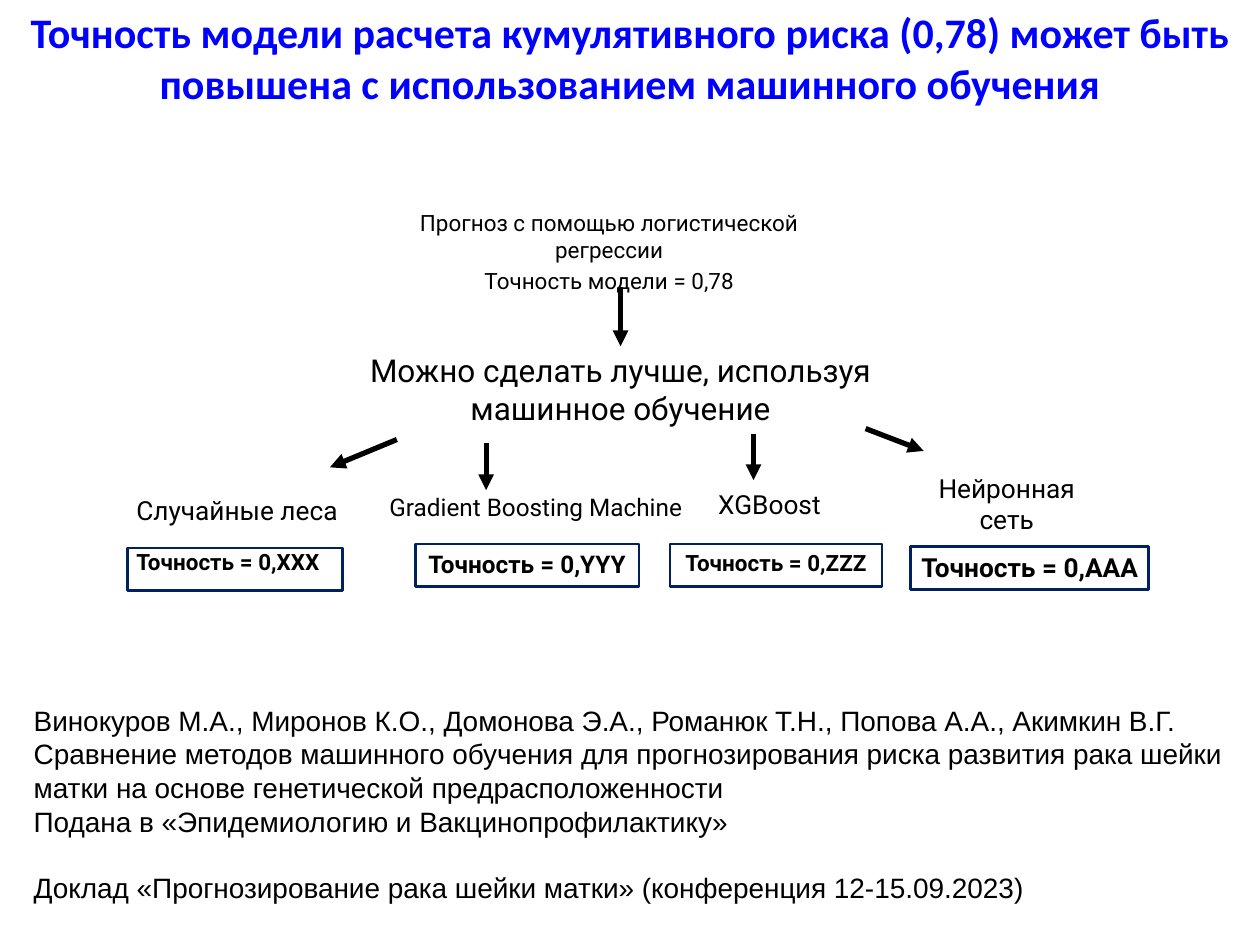
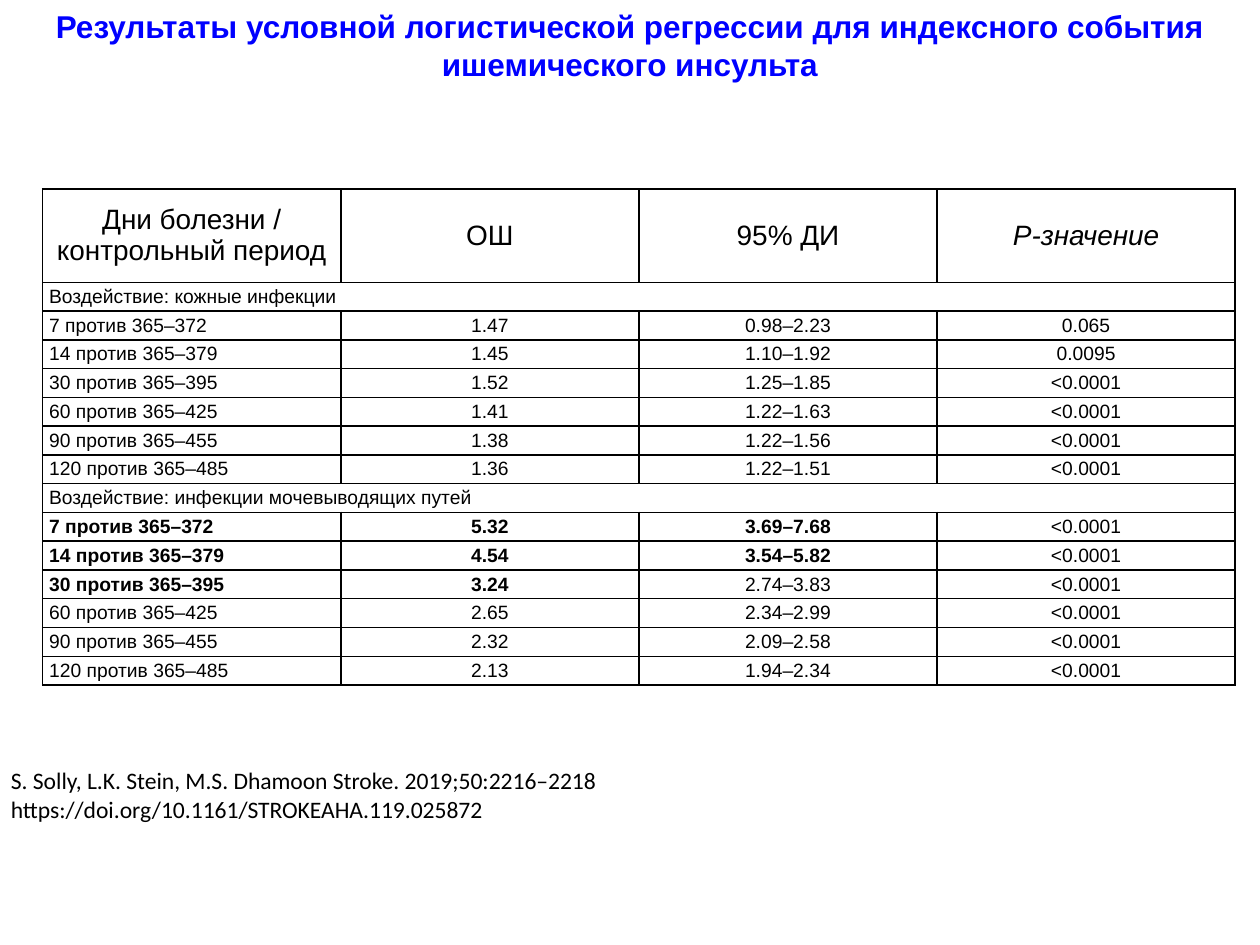
from dataclasses import dataclass, field
from typing import Any, NamedTuple

from lxml import etree
from pptx import Presentation
from pptx import util as u
from pptx.dml import color
from pptx.enum import shapes, text
from pptx.oxml import ns

BLACK, BLUE, NAVY = "000000", "0000FF", "002060"
LEFT, CENTER = text.PP_ALIGN.LEFT, text.PP_ALIGN.CENTER
TOP, MIDDLE = text.MSO_ANCHOR.TOP, text.MSO_ANCHOR.MIDDLE
WIDE = (0.25, 0.13)
NARROW = (0.18, 0.1)
PAGE_WIDTH, PAGE_HEIGHT = 25.4, 19.05


@dataclass
class Label:
    lines: list[str]
    left: float
    top: float
    width: float
    height: float
    size: float
    font: str = "Roboto"
    bold: bool = False
    hue: str = BLACK
    align: Any = CENTER
    anchor: Any = TOP
    insets: tuple[float, float] = NARROW
    border: str = ""
    spacing: dict[str, Any] = field(default_factory=dict)
    gaps: dict[int, float] = field(default_factory=dict)


class Arrow(NamedTuple):
    x1: float
    y1: float
    x2: float
    y2: float


class Row(NamedTuple):
    values: list[str]
    bold_count: int = 0


def rgb(value: str) -> color.RGBColor:
    return color.RGBColor.from_string(value)


def assign(target: Any, values: dict[str, Any]) -> None:
    for name, value in values.items():
        setattr(target, name, value)


def add_span(para: Any, words: str, hue: str = BLACK, **style: Any) -> None:
    span = para.add_run()
    span.text = words
    assign(span.font, style)
    span.font.color.rgb = rgb(hue)


def margins(insets: tuple[float, float]) -> dict[str, Any]:
    side, end = map(u.Cm, insets)
    return {"margin_left": side, "margin_right": side,
            "margin_top": end, "margin_bottom": end}


def draw_label(page: Any, label: Label) -> Any:
    bounds = [u.Cm(v) for v in (label.left, label.top, label.width, label.height)]
    if label.border:
        box = page.shapes.add_shape(shapes.MSO_SHAPE.RECTANGLE, *bounds)
        box.shadow.inherit = False
        box.fill.background()
        box.line.color.rgb = rgb(label.border)
        box.line.width = u.Pt(1.5)
    else:
        box = page.shapes.add_textbox(*bounds)
    frame = box.text_frame
    assign(frame, {"word_wrap": True, "vertical_anchor": label.anchor,
                   **margins(label.insets)})
    for index, line in enumerate(label.lines):
        para = frame.paragraphs[0] if index == 0 else frame.add_paragraph()
        assign(para, {"alignment": label.align, **label.spacing})
        if index in label.gaps:
            para.space_before = u.Pt(label.gaps[index])
        add_span(para, line, label.hue, name=label.font,
                 size=u.Pt(label.size), bold=label.bold)
    return box


def draw_title(page: Any, words: str, height: float, size: float, font: str) -> None:
    draw_label(page, Label([words], 0, 0, PAGE_WIDTH, height, size, font, True,
                           BLUE, anchor=MIDDLE, insets=WIDE))


def draw_arrow(page: Any, arrow: Arrow) -> Any:
    line = page.shapes.add_connector(shapes.MSO_CONNECTOR.STRAIGHT, *map(u.Cm, arrow))
    line.line.color.rgb = rgb(BLACK)
    line.line.width = u.Pt(3)
    etree.SubElement(line.line._get_or_add_ln(), ns.qn("a:tailEnd"), type="triangle")
    etree.SubElement(line._element.spPr, ns.qn("a:effectLst"))
    return line


def add_borders(cell: Any) -> None:
    properties = cell._tc.get_or_add_tcPr()
    for side in ("lnL", "lnR", "lnT", "lnB"):
        edge = etree.SubElement(properties, ns.qn(f"a:{side}"), w=str(u.Pt(1)))
        fill = etree.SubElement(edge, ns.qn("a:solidFill"))
        etree.SubElement(fill, ns.qn("a:srgbClr"), val=BLACK)


def fill_cell(cell: Any, lines: list[str], align: Any, **style: Any) -> None:
    frame = cell.text_frame
    for index, line in enumerate(lines):
        para = frame.paragraphs[0] if index == 0 else frame.add_paragraph()
        para.alignment = align
        add_span(para, line, name="Arial", **style)


def draw_table(page: Any, header: list[list[str]], rows: list[Row]) -> None:
    column_width, header_height, row_height = 6.01, 1.88, 0.58
    columns = len(header)
    grid = page.shapes.add_table(
        len(rows) + 1, columns, u.Cm(0.86), u.Cm(3.81), u.Cm(column_width * columns),
        u.Cm(header_height + row_height * len(rows))).table
    assign(grid, {"first_row": False, "horz_banding": False})
    for column in grid.columns:
        column.width = u.Cm(column_width)
    for index, band in enumerate(grid.rows):
        band.height = u.Cm(row_height if index else header_height)
    for cell in grid.iter_cells():
        assign(cell, {"vertical_anchor": MIDDLE, **margins((0.13, 0.06))})
        add_borders(cell)
        cell.fill.background()
    for index, lines in enumerate(header):
        fill_cell(grid.cell(0, index), lines, CENTER,
                  size=u.Pt(16), italic=index == columns - 1)
    for number, row in enumerate(rows, 1):
        if len(row.values) == 1:
            grid.cell(number, 0).merge(grid.cell(number, columns - 1))
        for index, value in enumerate(row.values):
            fill_cell(grid.cell(number, index), [value], CENTER if index else LEFT,
                      size=u.Pt(11), bold=index < row.bold_count)


IMPROVEMENT = Label(["Можно сделать лучше, используя машинное обучение"],
                    6.96, 6.98, 11.1, 1.9, 18)
METHODS = [
    Label(["Прогноз с помощью логистической регрессии", "Точность модели = 0,78"],
          8.18, 4.09, 8.2, 1.7, 12.8, insets=WIDE, gaps={1: 2.56}),
    Label(["Случайные леса"], 2.57, 9.86, 4.5, 0.89, 15, align=LEFT),
    Label(["Gradient Boosting Machine"], 7.67, 9.83, 6.68, 1.12, 13.9, align=LEFT),
    Label(["XGBoost"], 14.3, 9.75, 2.51, 1.12, 15, align=LEFT),
    Label(["Нейронная сеть"], 18.72, 9.42, 3.15, 1.12, 15),
]
ACCURACY_STYLE = {"bold": True, "border": NAVY}
ACCURACIES = [
    Label(["Точность = 0,XXX"], 2.57, 11.05, 4.34, 0.86, 12.8, align=LEFT,
          spacing={"line_spacing": 0.8}, **ACCURACY_STYLE),
    Label(["Точность = 0,YYY"], 8.38, 10.97, 4.5, 0.86, 13.9, **ACCURACY_STYLE),
    Label(["Точность = 0,ZZZ"], 13.51, 10.97, 4.27, 0.86, 12.8, **ACCURACY_STYLE),
    Label(["Точность = 0,AAA"], 18.36, 11.02, 4.8, 0.86, 15, **ACCURACY_STYLE),
]
PUBLICATION = Label([
    "Винокуров М.А., Миронов К.О., Домонова Э.А., Романюк Т.Н., Попова А.А., "
    "Акимкин В.Г. Сравнение методов машинного обучения для прогнозирования риска "
    "развития рака шейки матки на основе генетической предрасположенности",
    "Подана в «Эпидемиологию и Вакцинопрофилактику»",
    "Доклад «Прогнозирование рака шейки матки» (конференция 12-15.09.2023)",
], 0.43, 14.05, 24.56, 4.37, 16, "Arial", align=LEFT, insets=WIDE, gaps={2: 19})
METHOD_ARROWS = [
    Arrow(8, 8.86, 6.65, 9.42),
    Arrow(9.8, 8.94, 9.8, 9.88),
    Arrow(15.19, 8.74, 15.19, 9.68),
    Arrow(17.45, 8.64, 18.62, 9.09),
]

HEADER = [["Дни болезни /", "контрольный период"], ["ОШ"], ["95% ДИ"], ["P-значение"]]
ROWS = [
    Row(["Воздействие: кожные инфекции"]),
    Row(["7 против 365–372", "1.47", "0.98–2.23", "0.065"]),
    Row(["14 против 365–379", "1.45", "1.10–1.92", "0.0095"]),
    Row(["30 против 365–395", "1.52", "1.25–1.85", "<0.0001"]),
    Row(["60 против 365–425", "1.41", "1.22–1.63", "<0.0001"]),
    Row(["90 против 365–455", "1.38", "1.22–1.56", "<0.0001"]),
    Row(["120 против 365–485", "1.36", "1.22–1.51", "<0.0001"]),
    Row(["Воздействие: инфекции мочевыводящих путей"]),
    Row(["7 против 365–372", "5.32", "3.69–7.68", "<0.0001"], 3),
    Row(["14 против 365–379", "4.54", "3.54–5.82", "<0.0001"], 3),
    Row(["30 против 365–395", "3.24", "2.74–3.83", "<0.0001"], 2),
    Row(["60 против 365–425", "2.65", "2.34–2.99", "<0.0001"]),
    Row(["90 против 365–455", "2.32", "2.09–2.58", "<0.0001"]),
    Row(["120 против 365–485", "2.13", "1.94–2.34", "<0.0001"]),
]
CITATION = Label([
    "S. Solly, L.K. Stein, M.S. Dhamoon Stroke. 2019;50:2216–2218",
    "https://doi.org/10.1161/STROKEAHA.119.025872",
], -0.03, 15.32, 12.73, 1.42, 13.5, "Calibri", align=LEFT, insets=WIDE)


def build_accuracy_page(page: Any) -> None:
    improvement = draw_label(page, IMPROVEMENT)
    draw_arrow(page, Arrow(12.51, 5.79, 12.51, 6.98)).end_connect(improvement, 0)
    for arrow in METHOD_ARROWS:
        draw_arrow(page, arrow)
    for label in [*METHODS, *ACCURACIES, PUBLICATION]:
        draw_label(page, label)
    draw_title(page, "Точность модели расчета кумулятивного риска (0,78) может быть "
               "повышена с использованием машинного обучения", 2.31, 24, "Calibri")


def build_regression_page(page: Any) -> None:
    draw_table(page, HEADER, ROWS)
    draw_label(page, CITATION)
    draw_title(page, "Результаты условной логистической регрессии для индексного "
               "события ишемического инсульта", 1.8, 18, "Arial")


def main() -> None:
    deck = Presentation()
    assign(deck, {"slide_width": u.Cm(PAGE_WIDTH), "slide_height": u.Cm(PAGE_HEIGHT)})
    for build in (build_accuracy_page, build_regression_page):
        build(deck.slides.add_slide(deck.slide_layouts[6]))
    deck.save("out.pptx")


if __name__ == "__main__":
    main()
